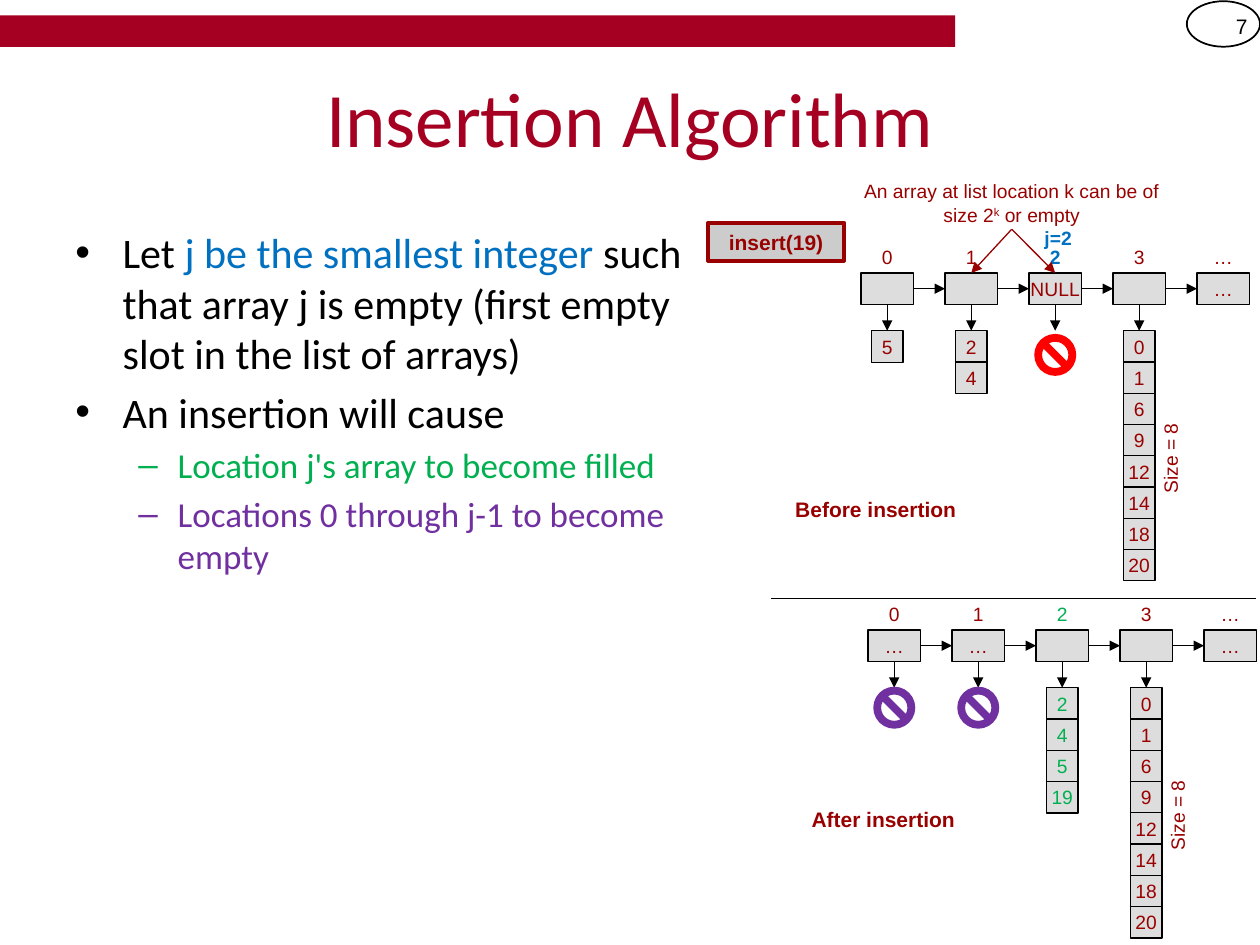
import dataclasses

import lxml.etree
import pptx
import pptx.dml.color
import pptx.enum.shapes
import pptx.enum.text
import pptx.oxml.ns
import pptx.util

Pt = pptx.util.Pt
ALIGN = pptx.enum.text.PP_ALIGN
ANCHOR = pptx.enum.text.MSO_ANCHOR
SHAPE = pptx.enum.shapes.MSO_SHAPE
COLOURS = {
    "black": "000000", "crimson": "A50021", "maroon": "990000",
    "blue": "0070C0", "green": "00B050", "violet": "7030A0",
    "red": "FF0000", "cell": "DDDDDD", "button": "CCCCCC",
}
TIGHT = {"margin_left": 0, "margin_right": 0, "vertical_anchor": ANCHOR.MIDDLE, "word_wrap": True}
MIDDLE = {"vertical_anchor": ANCHOR.MIDDLE, "word_wrap": True}
TOP = {"vertical_anchor": ANCHOR.TOP, "word_wrap": True}
SMALL = {"name": "Arial", "size": Pt(11)}
LABEL = {"name": "Arial", "size": Pt(12), "bold": True}
PITCH, CELL_WIDTH, CELL_HEIGHT = 48, 30, 18
ITEM_SIZE, ITEM_PITCH, ITEM_DROP, BAN_SIZE = 18, 17.85, 33, 24


@dataclasses.dataclass
class Column:
    """One location of the list, with its array; an empty array shows a ban sign."""
    heading: str
    cell: str = ""
    items: tuple = None
    colour: str = "maroon"
    bold: bool = False
    ban: str = "violet"


def rgb(name):
    """Return the named colour."""
    return pptx.dml.color.RGBColor.from_string(COLOURS[name])


def apply(target, values):
    """Set each format value on the target."""
    for name, value in values.items():
        setattr(target, name, value)


def add_span(para, text, font, colour, raised=False):
    """Add a formatted piece of text to a paragraph."""
    span = para.add_run()
    span.text = text
    apply(span.font, font)
    span.font.color.rgb = rgb(colour)
    if raised:
        span._r.get_or_add_rPr().set("baseline", "30000")


def write(box, text, font=SMALL, colour="maroon", frame=TIGHT, align=ALIGN.CENTER):
    """Write one paragraph in a box."""
    apply(box.text_frame, frame)
    para = box.text_frame.paragraphs[0]
    para.alignment = align
    add_span(para, text, font, colour)
    return para


def add_box(page, place, kind=SHAPE.RECTANGLE, fill=None, line=None, weight=0.75):
    """Add a preset shape without a shadow."""
    box = page.shapes.add_shape(kind, *map(Pt, place))
    box.shadow.inherit = False
    if fill:
        box.fill.solid()
        box.fill.fore_color.rgb = rgb(fill)
    else:
        box.fill.background()
    if line:
        box.line.color.rgb = rgb(line)
        box.line.width = Pt(weight)
    else:
        box.line.fill.background()
    return box


def add_text(page, place, text, **formats):
    """Add a text box with one paragraph."""
    box = page.shapes.add_textbox(*map(Pt, place))
    write(box, text, **formats)
    return box


def add_cell(page, place, text, colour="maroon"):
    """Add a grey cell, with its value if it has one."""
    box = add_box(page, place, fill="cell", line="black")
    if text:
        write(box, text, colour=colour)
    return box


def add_line(page, ends, colour="black", arrow=True):
    """Add a thin straight line, with or without an arrowhead."""
    line = page.shapes.add_connector(pptx.enum.shapes.MSO_CONNECTOR.STRAIGHT, *map(Pt, ends))
    line.line.color.rgb = rgb(colour)
    line.line.width = Pt(0.75)
    properties = line._element.spPr
    if arrow:
        outline = properties.find(pptx.oxml.ns.qn("a:ln"))
        lxml.etree.SubElement(outline, pptx.oxml.ns.qn("a:tailEnd"), type="triangle")
    lxml.etree.SubElement(properties, pptx.oxml.ns.qn("a:effectLst"))
    return line


def join(page, start, start_side, end, end_side, colour="black"):
    """Join two boxes with an arrow."""
    line = add_line(page, (0, 0, 0, 0), colour)
    line.begin_connect(start, start_side)
    line.end_connect(end, end_side)


def add_list(page, left, top, columns, ban_drop):
    """Draw a list of arrays and return its cells."""
    cells = []
    for index, column in enumerate(columns):
        x = left + index * PITCH
        middle = x + CELL_WIDTH / 2
        cell = add_cell(page, (x, top, CELL_WIDTH, CELL_HEIGHT), column.cell)
        add_text(page, (x, top - CELL_HEIGHT, CELL_WIDTH, CELL_HEIGHT), column.heading,
                 font={**SMALL, "bold": column.bold}, colour=column.colour)
        if cells:
            join(page, cells[-1], 3, cell, 1)
        cells.append(cell)
        if column.items:
            items = [add_cell(page, (middle - ITEM_SIZE / 2, top + ITEM_DROP + row * ITEM_PITCH,
                                     ITEM_SIZE, ITEM_SIZE), item, column.colour)
                     for row, item in enumerate(column.items)]
            join(page, cell, 2, items[0], 0)
        elif column.items is not None:
            arrow = add_line(page, (middle, top + CELL_HEIGHT, middle, top + ITEM_DROP))
            arrow.begin_connect(cell, 2)
            add_box(page, (middle - BAN_SIZE / 2, top + ban_drop, BAN_SIZE, BAN_SIZE),
                    SHAPE.NO_SYMBOL, fill=column.ban)
    size = add_text(page, (left + 149.3, top + 97, 54.7, 18), "Size = 8")
    size.rotation = 270
    return cells


def add_bullet(para, spans, size, level, mark, margin, hang):
    """Fill a bulleted paragraph with coloured spans."""
    apply(para, {"level": level, "space_before": Pt(size * 0.2)})
    properties = para._p.get_or_add_pPr()
    properties.set("marL", str(Pt(margin)))
    properties.set("indent", str(-Pt(hang)))
    lxml.etree.SubElement(properties, pptx.oxml.ns.qn("a:buFont"), typeface="Arial")
    lxml.etree.SubElement(properties, pptx.oxml.ns.qn("a:buChar"), char=mark)
    for text, colour in spans:
        add_span(para, text, {"name": "Calibri", "size": Pt(size)}, colour)


def add_body(page):
    """Add the explanation of the algorithm."""
    frame = page.shapes.add_textbox(*map(Pt, (36, 126, 386.6, 356.4))).text_frame
    apply(frame, TOP)
    main_point = (24, 0, "•", 27, 27)
    sub_point = (20, 1, "–", 58.5, 22.5)
    points = [
        ([("Let ", "black"), ("j be the smallest integer ", "blue"),
          ("such that array j is empty (first empty slot in the list of arrays)", "black")], main_point),
        ([("An insertion will cause", "black")], main_point),
        ([("Location j's array to become filled", "green")], sub_point),
        ([("Locations 0 through j-1 to become empty", "violet")], sub_point),
    ]
    for index, (spans, layout) in enumerate(points):
        para = frame.add_paragraph() if index else frame.paragraphs[0]
        add_bullet(para, spans, *layout)


def main():
    """Build the insertion algorithm slide."""
    deck = pptx.Presentation()
    apply(deck, {"slide_width": Pt(720), "slide_height": Pt(540)})
    page = deck.slides.add_slide(deck.slide_layouts[6])
    add_text(page, (678.2, 0.7, 41.8, 28.8), "7", font={"name": "Arial", "size": Pt(12)},
             colour="black", frame=MIDDLE, align=ALIGN.RIGHT)
    add_box(page, (0, 8.8, 545.8, 18), fill="crimson")
    add_box(page, (678.2, 0.7, 41.8, 26), SHAPE.OVAL, line="black", weight=1)
    add_text(page, (36, 21.6, 648, 90), "Insertion Algorithm",
             font={"name": "Calibri", "size": Pt(44)}, colour="crimson", frame=MIDDLE)
    add_body(page)

    full = Column("3", "", ("0", "1", "6", "9", "12", "14", "18", "20"))
    rest = Column("…", "…")
    before = [Column("0", "", ("5",)), Column("1", "", ("2", "4")),
              Column("2", "NULL", (), "blue", True, "red"), full, rest]
    after = [Column("0", "…", ()), Column("1", "…", ()),
             Column("2", "", ("2", "4", "5", "19"), "green"), full, rest]
    cells = add_list(page, 492, 156, before, 34.8)
    add_list(page, 496, 360, after, 32.4)

    note = add_text(page, (486, 100.8, 184.3, 30.2), "An array at list location k can be of size 2")
    para = note.text_frame.paragraphs[0]
    add_span(para, "k", SMALL, "maroon", raised=True)
    add_span(para, " or empty", SMALL, "maroon")
    for cell in cells[1:3]:
        join(page, note, 2, cell, 0, "maroon")

    button = add_box(page, (404.6, 127.4, 77.8, 21.6), fill="button", line="maroon", weight=2.25)
    write(button, "insert(19)", LABEL, frame=TOP)
    add_text(page, (430.6, 280.1, 139.7, 21.6), "Before insertion", font=LABEL, frame=TOP)
    add_text(page, (434.9, 457.2, 139.7, 21.6), "After insertion", font=LABEL, frame=TOP)
    add_line(page, (440.6, 342, 717.8, 342), arrow=False)
    add_text(page, (589.7, 126.7, 30, 18), "j=2", font={**SMALL, "bold": True}, colour="blue")
    deck.save("out.pptx")


if __name__ == "__main__":
    main()
